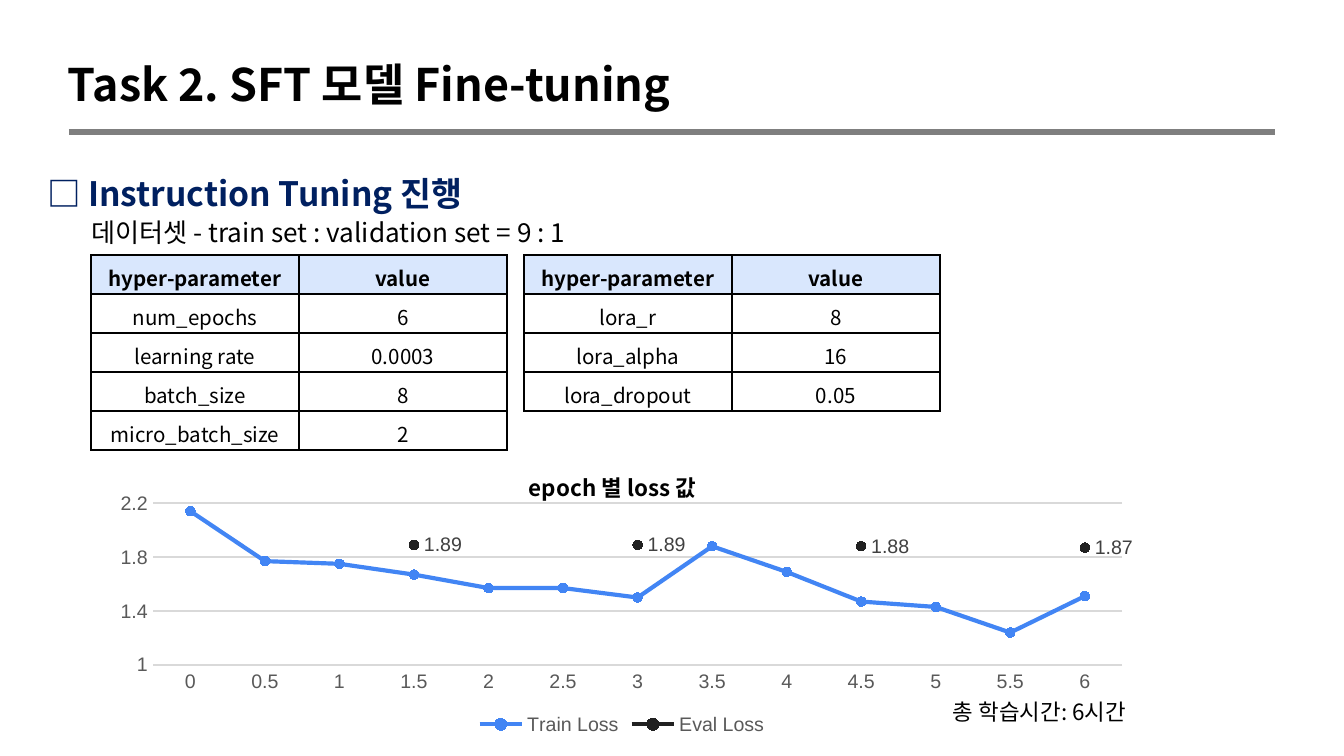
from lxml.etree import SubElement
from pptx import Presentation
from pptx.chart.data import CategoryChartData
from pptx.dml.color import RGBColor
from pptx.enum.chart import XL_CHART_TYPE, XL_LABEL_POSITION, XL_LEGEND_POSITION
from pptx.enum.chart import XL_MARKER_STYLE, XL_TICK_MARK
from pptx.enum.shapes import MSO_CONNECTOR
from pptx.enum.text import MSO_ANCHOR, PP_ALIGN
from pptx.oxml import parse_xml
from pptx.oxml.ns import nsdecls, qn
from pptx.util import Emu, Pt

BLACK = RGBColor(0x00, 0x00, 0x00)
NAVY = RGBColor(0x00, 0x20, 0x60)
RULE_GRAY = RGBColor(0x7F, 0x7F, 0x7F)
GRID_GRAY = RGBColor(0xD9, 0xD9, 0xD9)
AXIS_GRAY = RGBColor(0x59, 0x59, 0x59)
LABEL_GRAY = RGBColor(0x40, 0x40, 0x40)
HEADER_BLUE = RGBColor(0xD9, 0xE7, 0xFD)
TRAIN_BLUE = RGBColor(0x42, 0x85, 0xF4)
EVAL_BLACK = RGBColor(0x21, 0x21, 0x21)

SLIDE_WIDTH, SLIDE_HEIGHT = 1344, 756
COLUMN_WIDTH, ROW_HEIGHT = 208, 39

TRAIN_LOSS = [2.14, 1.77, 1.75, 1.67, 1.57, 1.57, 1.5, 1.88, 1.69, 1.47, 1.43, 1.24, 1.51]
EVAL_LOSS = {1.5: 1.89, 3: 1.89, 4.5: 1.88, 6: 1.87}


def px(length):
    return Emu(round(length * 914400 / 134.4))


class SlideBuilder:
    text_font = "Noto Sans CJK KR"
    chart_font = "Arial"
    chart_size = 10.5

    def __init__(self, slide):
        self.slide = slide

    def run(self, paragraph, text, size, color=BLACK, bold=False):
        run = paragraph.add_run()
        run.text = text
        run.font.size = Pt(size)
        run.font.bold = bold
        run.font.color.rgb = color
        run.font.name = self.text_font
        east_asian = SubElement(run.font._element, qn("a:ea"))
        east_asian.set("typeface", self.text_font)

    def text(self, box, text, size, color=BLACK, bold=False, spacing=0.9,
             insets=(10, 5), anchor=MSO_ANCHOR.MIDDLE, align=PP_ALIGN.JUSTIFY):
        frame = self.slide.shapes.add_textbox(*map(px, box)).text_frame
        frame.word_wrap = True
        frame.vertical_anchor = anchor
        frame.margin_left = frame.margin_right = px(insets[0])
        frame.margin_top = frame.margin_bottom = px(insets[1])
        paragraph = frame.paragraphs[0]
        paragraph.alignment = align
        paragraph.line_spacing = spacing
        self.run(paragraph, text, size, color, bold)

    def heading(self, box, text, size, color, spacing):
        self.text(box, text, size, color, True, spacing, (13, 13),
                  MSO_ANCHOR.TOP, PP_ALIGN.LEFT)

    def rule(self, left, right, top):
        connector = self.slide.shapes.add_connector(
            MSO_CONNECTOR.STRAIGHT, px(left), px(top), px(right), px(top))
        connector.line.color.rgb = RULE_GRAY
        connector.line.width = Pt(3)
        SubElement(connector._element.spPr, qn("a:effectLst"))

    def cell(self, cell, text, header):
        cell.vertical_anchor = MSO_ANCHOR.MIDDLE
        cell.margin_left = cell.margin_right = px(5)
        cell.margin_top, cell.margin_bottom = px(6), px(1)
        properties = cell._tc.get_or_add_tcPr()
        for side in "LRTB":
            properties.append(parse_xml(
                f'<a:ln{side} {nsdecls("a")} w="12700"><a:solidFill>'
                f'<a:srgbClr val="{BLACK}"/></a:solidFill></a:ln{side}>'))
        if header:
            cell.fill.solid()
            cell.fill.fore_color.rgb = HEADER_BLUE
        else:
            cell.fill.background()
        paragraph = cell.text_frame.paragraphs[0]
        paragraph.alignment = PP_ALIGN.CENTER
        self.run(paragraph, text, 11, bold=header)

    def table(self, left, top, parameters):
        rows = [("hyper-parameter", "value"), *parameters]
        table = self.slide.shapes.add_table(
            len(rows), 2, px(left), px(top),
            px(2 * COLUMN_WIDTH), px(len(rows) * ROW_HEIGHT)).table
        table.horz_banding = table.first_row = False
        for column in table.columns:
            column.width = px(COLUMN_WIDTH)
        for index, values in enumerate(rows):
            table.rows[index].height = px(ROW_HEIGHT)
            for column, value in enumerate(values):
                self.cell(table.cell(index, column), value, index == 0)

    def style_chart_font(self, font, color):
        font.name = self.chart_font
        font.size = Pt(self.chart_size)
        font.color.rgb = color

    def style_series(self, series, color):
        series.smooth = False
        series.format.line.color.rgb = color
        series.format.line.width = Pt(2.25)
        marker = series.marker
        marker.style = XL_MARKER_STYLE.CIRCLE
        marker.size = 5
        marker.format.fill.solid()
        marker.format.fill.fore_color.rgb = color
        marker.format.line.color.rgb = color

    def loss_chart(self, box):
        epochs = [step / 2 for step in range(len(TRAIN_LOSS))]
        data = CategoryChartData()
        data.categories = [f"{epoch:g}" for epoch in epochs]
        data.add_series("Train Loss", TRAIN_LOSS)
        data.add_series("Eval Loss", [EVAL_LOSS.get(epoch) for epoch in epochs])
        chart = self.slide.shapes.add_chart(
            XL_CHART_TYPE.LINE_MARKERS, *map(px, box), data).chart
        self.style_chart_font(chart.font, BLACK)
        chart.has_title = False
        chart.has_legend = True
        chart.legend.position = XL_LEGEND_POSITION.BOTTOM
        chart.legend.include_in_layout = False
        self.style_chart_font(chart.legend.font, AXIS_GRAY)

        for axis in (chart.category_axis, chart.value_axis):
            axis.major_tick_mark = axis.minor_tick_mark = XL_TICK_MARK.NONE
            self.style_chart_font(axis.tick_labels.font, AXIS_GRAY)
        values = chart.value_axis
        values.minimum_scale, values.maximum_scale, values.major_unit = 1, 2.2, 0.4
        values.format.line.fill.background()
        for line in (chart.category_axis.format.line, values.major_gridlines.format.line):
            line.color.rgb = GRID_GRAY
            line.width = Pt(0.75)

        plot = chart.plots[0]
        plot.vary_by_categories = False
        train, evaluation = plot.series
        self.style_series(train, TRAIN_BLUE)
        self.style_series(evaluation, EVAL_BLACK)
        labels = evaluation.data_labels
        labels.show_value = True
        labels.position = XL_LABEL_POSITION.RIGHT
        self.style_chart_font(labels.font, LABEL_GRAY)

        plot_area = chart._chartSpace.chart.plotArea
        for layout in plot_area.findall(qn("c:layout")):
            plot_area.remove(layout)
        plot_area.insert(0, parse_xml(
            f'<c:layout {nsdecls("c")}><c:manualLayout><c:layoutTarget val="inner"/>'
            '<c:xMode val="edge"/><c:yMode val="edge"/><c:x val="0.05"/><c:y val="0.06"/>'
            '<c:w val="0.93"/><c:h val="0.64"/></c:manualLayout></c:layout>'))


def main():
    presentation = Presentation()
    presentation.slide_width = px(SLIDE_WIDTH)
    presentation.slide_height = px(SLIDE_HEIGHT)
    builder = SlideBuilder(presentation.slides.add_slide(presentation.slide_layouts[6]))

    builder.rule(69, 1275, 132)
    builder.heading((34, 140, 1296, 454), "□ Instruction Tuning 진행", 18, NAVY, 1.5)
    builder.heading((55, 28, 890, 98), "Task 2. SFT 모델 Fine-tuning", 24, BLACK, 1.3)
    builder.table(91, 255, [("num_epochs", "6"), ("learning rate", "0.0003"),
                            ("batch_size", "8"), ("micro_batch_size", "2")])
    builder.table(524, 255, [("lora_r", "8"), ("lora_alpha", "16"), ("lora_dropout", "0.05")])
    builder.text((81, 212, 835, 43), "데이터셋 - train set : validation set = 9 : 1", 14)
    builder.loss_chart((101, 488, 1042, 253))
    builder.text((943, 692, 207, 43), "총 학습시간: 6시간", 12)
    builder.text((519, 468, 207, 43), "epoch 별 loss 값", 12, bold=True)

    presentation.save("out.pptx")


if __name__ == "__main__":
    main()
